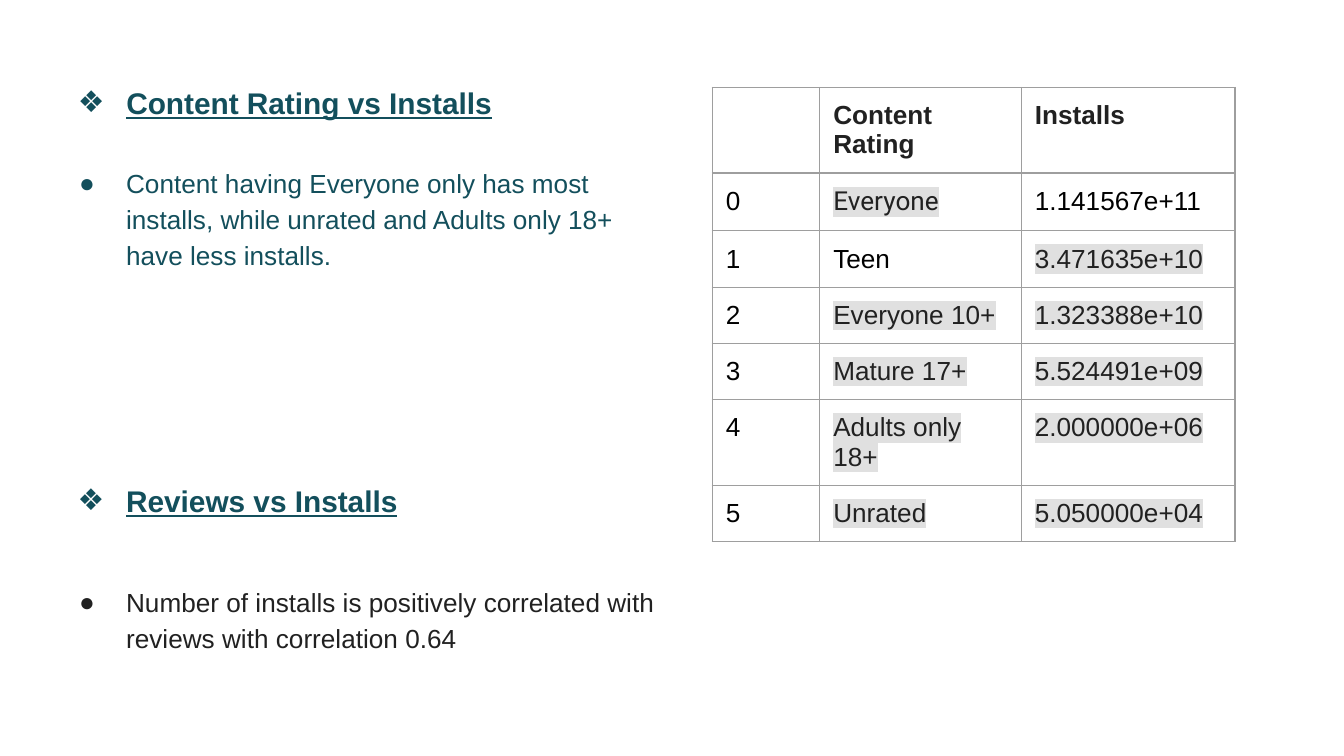
from lxml.etree import SubElement
from pptx import Presentation
from pptx.dml.color import RGBColor
from pptx.enum.text import MSO_ANCHOR, MSO_AUTO_SIZE, PP_ALIGN
from pptx.oxml.ns import qn
from pptx.util import Inches, Pt

COLORS = {"teal": "134F5C", "ink": "212121", "black": "000000",
          "mark": "E0E0E0", "border": "9E9E9E"}
CELL = 0.1  # side of one square grid cell, in inches


def grid(n):
    return Inches(n * CELL)


class SlideBuilder:
    font = "Arial"
    heading_size, body_size = 16, 14

    def __init__(self, prs):
        self.slide = prs.slides.add_slide(prs.slide_layouts[5])

    def run(self, p, text, size, color, bold=False, underline=False,
            font=None, mark=None):
        r = p.add_run()
        r.text = text
        f = r.font
        f.size, f.bold, f.underline = Pt(size), bold, underline
        f.name = font or self.font
        f.color.rgb = RGBColor.from_string(COLORS[color])
        if mark:
            rPr = r._r.get_or_add_rPr()
            hl = SubElement(rPr, qn("a:highlight"))
            SubElement(hl, qn("a:srgbClr"), val=COLORS[mark])
            rPr.find(qn("a:solidFill")).addnext(hl)

    def bullet(self, p, char, color, hang, before=6):
        p.alignment = PP_ALIGN.LEFT
        p.line_spacing, p.space_before = 1.15, Pt(before)
        pPr = p._p.get_or_add_pPr()
        pPr.set("marL", str(grid(5)))
        pPr.set("indent", str(-grid(hang)))
        clr = SubElement(pPr, qn("a:buClr"))
        SubElement(clr, qn("a:srgbClr"), val=COLORS[color])
        SubElement(pPr, qn("a:buFont"), typeface=self.font)
        SubElement(pPr, qn("a:buChar"), char=char)

    def heading(self, p, text):
        self.bullet(p, "❖", "teal", 3.6)
        self.run(p, text, self.heading_size, "teal", bold=True, underline=True)

    def point(self, p, text, color, before=6):
        self.bullet(p, "●", color, 3.5, before)
        self.run(p, text, self.body_size, color)

    def frame(self, sp, x, y, w, h):
        sp.left, sp.top, sp.width, sp.height = map(grid, (x, y, w, h))
        tf = sp.text_frame
        tf.word_wrap, tf.auto_size = True, MSO_AUTO_SIZE.NONE
        tf.vertical_anchor = MSO_ANCHOR.TOP
        tf.margin_left = tf.margin_right = grid(1)
        tf.margin_top = tf.margin_bottom = grid(1)
        return tf

    def title(self, text, *box):
        tf = self.frame(self.slide.shapes.title, *box)
        self.heading(tf.paragraphs[0], text)

    def text(self, *box):
        return self.frame(self.slide.shapes.add_textbox(0, 0, 0, 0), *box)

    def border(self, cell):
        tcPr = cell._tc.get_or_add_tcPr()
        for i, side in enumerate(("lnL", "lnR", "lnT", "lnB")):
            ln = tcPr.makeelement(qn("a:" + side), {"w": str(Pt(0.75))})
            fill = SubElement(ln, qn("a:solidFill"))
            SubElement(fill, qn("a:srgbClr"), val=COLORS["border"])
            tcPr.insert(i, ln)

    def table(self, x, y, widths, heights, rows, style):
        table = self.slide.shapes.add_table(
            len(rows), len(widths), grid(x), grid(y),
            grid(sum(widths)), grid(sum(heights))).table
        table.first_row = table.horz_banding = False
        for col, width in zip(table.columns, widths):
            col.width = grid(width)
        for row, height in zip(table.rows, heights):
            row.height = grid(height)
        for i, values in enumerate(rows):
            for j, value in enumerate(values):
                cell = table.cell(i, j)
                cell.margin_left = cell.margin_right = grid(1)
                cell.margin_top = cell.margin_bottom = grid(1)
                cell.fill.background()
                self.border(cell)
                if value:
                    self.run(cell.text_frame.paragraphs[0], value,
                             self.body_size, **style(i, j))


def cell_style(i, j):
    if i == 0:
        return {"color": "ink", "bold": True}
    # Row numbers, the top install count and "Teen" are left unmarked
    if j == 0 or (i, j) in ((1, 2), (2, 1)):
        return {"color": "black"}
    return {"color": "ink", "mark": "mark",
            "font": "Roboto" if (i, j) == (1, 1) else None}


def main():
    prs = Presentation()
    prs.slide_width = Inches(10)
    prs.slide_height = prs.slide_width * 9 // 16
    s = SlideBuilder(prs)

    # Content rating section
    s.title("Content Rating vs Installs", 3.4, 4.9, 93.2, 6.3)
    tf = s.text(3.4, 11.1, 43.7, 10.2)
    s.point(tf.paragraphs[0],
            "Content having Everyone only has most installs, while unrated "
            "and Adults only 18+ have less installs.", "teal")

    # Installs by content rating
    installs = [("Everyone", "1.141567e+11"), ("Teen", "3.471635e+10"),
                ("Everyone 10+", "1.323388e+10"), ("Mature 17+", "5.524491e+09"),
                ("Adults only 18+", "2.000000e+06"), ("Unrated", "5.050000e+04")]
    rows = [("", "Content Rating", "Installs")]
    rows += [(str(n), *pair) for n, pair in enumerate(installs)]
    heights = [5.5 if i in (0, 5) else 3.5 for i in range(len(rows))]
    s.table(53, 6.5, (8, 15, 15.9), heights, rows, cell_style)

    # Reviews section
    tf = s.text(3.4, 34.5, 47.3, 18.9)
    s.heading(tf.paragraphs[0], "Reviews vs Installs")
    s.point(tf.add_paragraph(),
            "Number of installs is positively correlated with reviews "
            "with correlation 0.64", "ink", before=34)

    prs.save("out.pptx")


if __name__ == "__main__":
    main()
